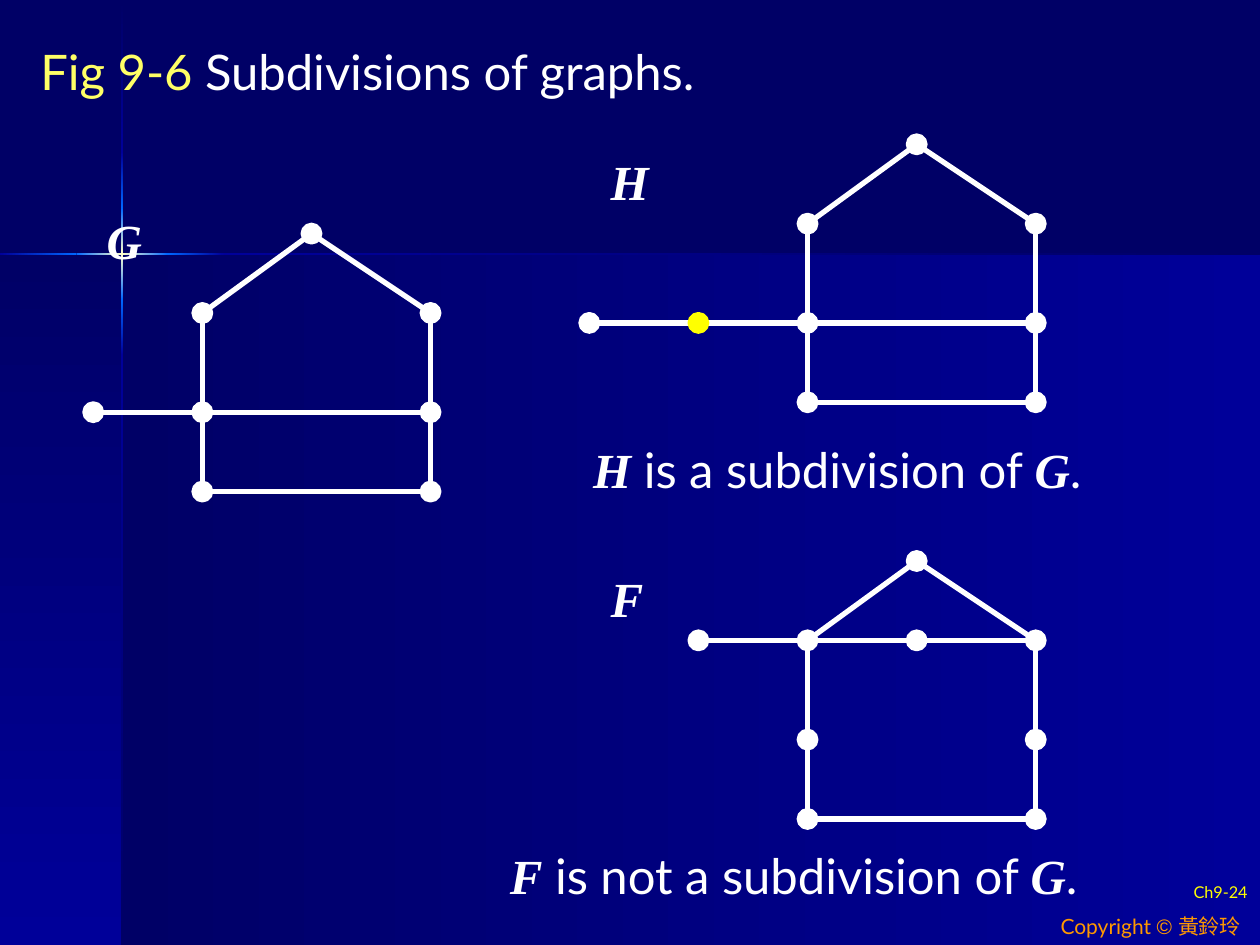
from itertools import pairwise

from lxml.etree import SubElement
from pptx import Presentation
from pptx.dml.color import RGBColor
from pptx.enum.shapes import MSO_CONNECTOR, MSO_SHAPE
from pptx.enum.text import MSO_ANCHOR, MSO_AUTO_SIZE, PP_ALIGN
from pptx.oxml.ns import qn
from pptx.util import Cm, Pt

NAVY = RGBColor(0x00, 0x00, 0x66)
BLUE = RGBColor(0x00, 0x00, 0x99)
AZURE = RGBColor(0x00, 0x66, 0xFF)
CREAM = RGBColor(0xFF, 0xFF, 0xCC)
WHITE = RGBColor(0xFF, 0xFF, 0xFF)
YELLOW = RGBColor(0xFF, 0xFF, 0x00)
PALE_YELLOW = RGBColor(0xFF, 0xFF, 0x66)
ORANGE = RGBColor(0xFF, 0x99, 0x00)

SANS = "Lato"
SERIF = "Times New Roman"

SLIDE_W, SLIDE_H = 25.4, 19.05
CROSS_X, CROSS_Y = 2.46, 5.12
RAY_WIDTH = 0.05
NODE_SIZE = 0.37

# Node positions in cm, measured from the top of the roof
LEFT, RIGHT, STEP = -2.2, 2.4, 2.2
EAVE, MIDDLE, BASE = 1.6, 3.6, 5.2
ROOF = (0, 0)
HOUSE_NODES = [ROOF] + [(x, y) for y in (EAVE, MIDDLE, BASE) for x in (LEFT, RIGHT)]
HOUSE_EDGES = [
    (ROOF, (LEFT, EAVE)),
    (ROOF, (RIGHT, EAVE)),
    ((LEFT, EAVE), (LEFT, BASE)),
    ((RIGHT, EAVE), (RIGHT, BASE)),
    ((LEFT, BASE), (RIGHT, BASE)),
]


def add_gradient(slide, left, top, right, bottom, start, end, downward):
    band = slide.shapes.add_shape(
        MSO_SHAPE.RECTANGLE, Cm(left), Cm(top), Cm(right - left), Cm(bottom - top))
    band.shadow.inherit = False
    band.line.fill.background()
    band.fill.gradient()
    band.fill.gradient_angle = 270 if downward else 0
    for stop, color in zip(band.fill.gradient_stops, (start, end)):
        stop.color.rgb = color


def add_backdrop(slide):
    """Two shaded panels and two rays that glow where they cross."""
    slide.background.fill.solid()
    slide.background.fill.fore_color.rgb = NAVY
    add_gradient(slide, CROSS_X, CROSS_Y, SLIDE_W, SLIDE_H, NAVY, BLUE, False)
    add_gradient(slide, 0, CROSS_Y, CROSS_X, SLIDE_H, NAVY, BLUE, True)

    glow = [(-2.05, BLUE), (-0.92, AZURE), (0, CREAM), (0.92, AZURE), (2.05, BLUE)]
    half = RAY_WIDTH / 2
    across = [(0, BLUE)] + [(CROSS_X + d, c) for d, c in glow[1:]] + [(SLIDE_W, NAVY)]
    down = [(0, NAVY)] + [(CROSS_Y + d, c) for d, c in glow] + [(SLIDE_H, NAVY)]
    for (top, start), (bottom, end) in pairwise(down):
        add_gradient(slide, CROSS_X - half, top, CROSS_X + half, bottom, start, end, True)
    for (left, start), (right, end) in pairwise(across):
        add_gradient(slide, left, CROSS_Y - half, right, CROSS_Y + half, start, end, False)


def write_runs(paragraph, runs, size):
    """Each run is (text, font name, colour); serif runs are graph names."""
    for text, font_name, color in runs:
        run = paragraph.add_run()
        run.text = text
        run.font.name = font_name
        run.font.size = Pt(size)
        run.font.color.rgb = color
        run.font.bold = run.font.italic = font_name == SERIF


def add_text(shapes, left, top, width, height, runs, size, wrap=False):
    box = shapes.add_textbox(Cm(left), Cm(top), Cm(width), Cm(height))
    box.text_frame.word_wrap = wrap
    paragraph = box.text_frame.paragraphs[0]
    write_runs(paragraph, runs, size)
    return paragraph


def add_title(slide):
    title = slide.shapes.title
    title.left, title.top, title.width, title.height = Cm(0.56), Cm(0.71), Cm(14.58), Cm(1.45)
    frame = title.text_frame
    frame.auto_size = MSO_AUTO_SIZE.NONE
    frame.word_wrap = False
    frame.vertical_anchor = MSO_ANCHOR.TOP
    frame.paragraphs[0].alignment = PP_ALIGN.LEFT
    write_runs(frame.paragraphs[0], [
        ("Fig 9-6 ", SANS, PALE_YELLOW), ("Subdivisions of graphs.", SANS, WHITE)], 28)
    slide.shapes._spTree.append(title._element)  # in front of the backdrop


def add_edge(shapes, start, end):
    edge = shapes.add_connector(MSO_CONNECTOR.STRAIGHT, *map(Cm, start + end))
    edge.line.color.rgb = WHITE
    edge.line.width = Pt(3)
    SubElement(edge._element.spPr, qn("a:effectLst"))


def add_node(shapes, center, color):
    x, y = center
    node = shapes.add_shape(MSO_SHAPE.OVAL, Cm(x - NODE_SIZE / 2), Cm(y - NODE_SIZE / 2),
                            Cm(NODE_SIZE), Cm(NODE_SIZE))
    node.shadow.inherit = False
    node.fill.solid()
    node.fill.fore_color.rgb = color
    node.line.color.rgb = color
    node.line.width = Pt(2)


def add_graph(slide, name, label_at, roof, extra_nodes, extra_edges, new_nodes=()):
    """Draw the common house plus extras; new_nodes are those shown in yellow."""
    shapes = slide.shapes.add_group_shape().shapes

    def place(point):
        return roof[0] + point[0], roof[1] + point[1]

    for start, end in HOUSE_EDGES + extra_edges:
        add_edge(shapes, place(start), place(end))
    for point in HOUSE_NODES + extra_nodes:
        add_node(shapes, place(point), WHITE)
    for point in new_nodes:
        add_node(shapes, place(point), YELLOW)
    add_text(shapes, *label_at, 1.22, 1.45, [(name, SERIF, WHITE)], 28)


def add_statement(slide, left, top, width, subject, relation):
    add_text(slide.shapes, left, top, width, 1.45, [
        (subject, SERIF, WHITE), (relation, SANS, WHITE),
        ("G", SERIF, WHITE), (".", SANS, WHITE)], 28)


def add_footer(slide):
    add_text(slide.shapes, 21.13, 18.29, 4.37, 0.76, [
        ("Copyright ", SANS, ORANGE), ("© ", "Arial", ORANGE), ("黃鈴玲", SANS, ORANGE)], 12)
    number = add_text(slide.shapes, 20.12, 17.73, 5.28, 0.71,
                      [("Ch9-24", SANS, YELLOW)], 9.3, wrap=True)
    number.alignment = PP_ALIGN.RIGHT
    number.line_spacing = 0.8


def main():
    deck = Presentation()
    deck.slide_width, deck.slide_height = Cm(SLIDE_W), Cm(SLIDE_H)
    slide = deck.slides.add_slide(deck.slide_layouts[5])
    add_backdrop(slide)
    add_footer(slide)
    add_title(slide)

    pendant, far_pendant = (LEFT - STEP, MIDDLE), (LEFT - 2 * STEP, MIDDLE)
    eave_pendant = (LEFT - STEP, EAVE)
    add_graph(slide, "G", (1.9, 4.11), (6.28, 4.71), [pendant],
              [(pendant, (LEFT, MIDDLE)), ((LEFT, MIDDLE), (RIGHT, MIDDLE))])
    add_graph(slide, "H", (12.06, 2.92), (18.48, 2.91), [far_pendant],
              [(far_pendant, pendant), (pendant, (LEFT, MIDDLE)),
               ((LEFT, MIDDLE), (RIGHT, MIDDLE))], new_nodes=[pendant])
    add_graph(slide, "F", (12.06, 11.33), (18.48, 11.31), [eave_pendant, (0, EAVE)],
              [(eave_pendant, (LEFT, EAVE)), ((LEFT, EAVE), (RIGHT, EAVE))])

    add_statement(slide, 11.71, 8.74, 10.97, "H", " is a subdivision of ")
    add_statement(slide, 10.03, 16.92, 12.7, "F", " is not a subdivision of ")
    deck.save("out.pptx")


if __name__ == "__main__":
    main()
